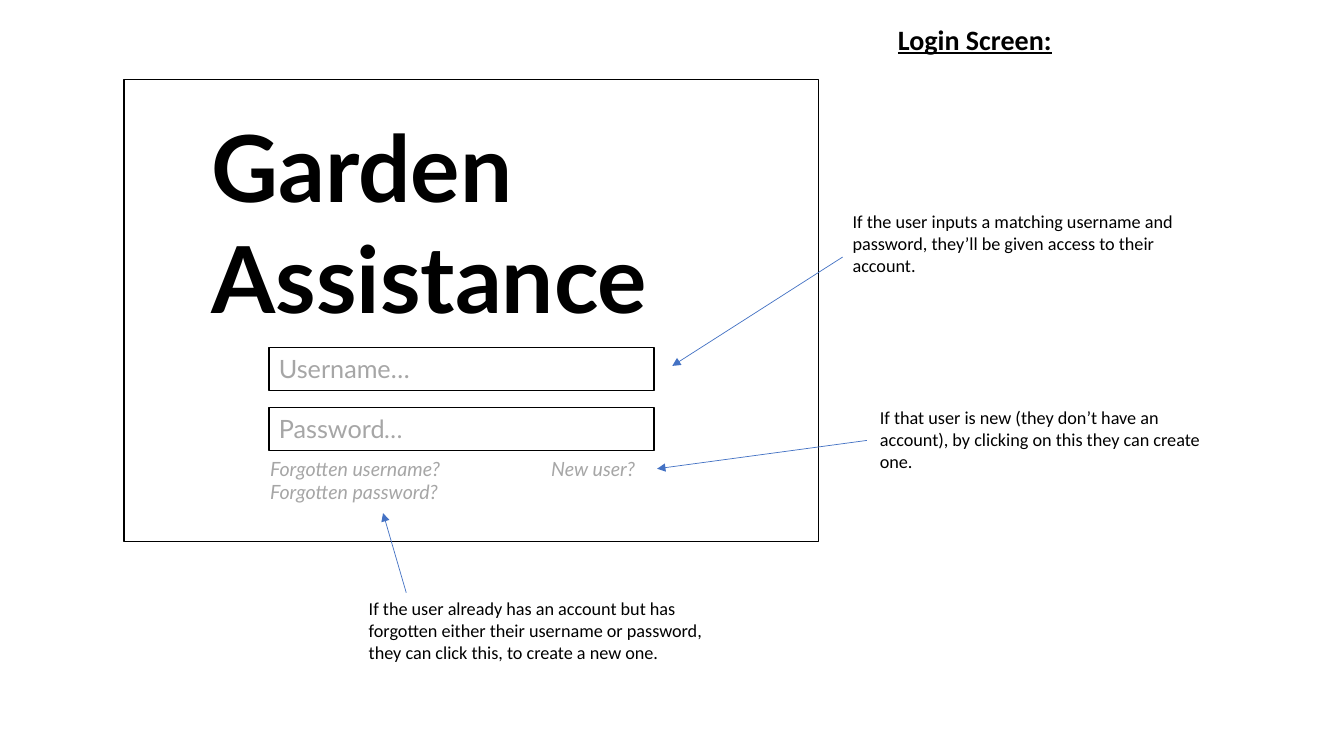
from lxml.etree import SubElement
from pptx import Presentation
from pptx.dml.color import RGBColor
from pptx.enum.shapes import MSO_CONNECTOR, MSO_SHAPE
from pptx.oxml.ns import qn
from pptx.util import Pt

COLORS = {"ink": "000000", "hint": "A6A6A6", "arrow": "4472C4"}


class Sketch:
    def __init__(self, slide):
        self.slide = slide
        self.shapes = slide.shapes

    def color(self, name):
        return RGBColor.from_string(COLORS[name])

    def start_group(self):
        self.shapes = self.slide.shapes.add_group_shape().shapes

    def end_group(self):
        self.shapes = self.slide.shapes

    def frame(self, x, y, w, h):
        sp = self.shapes.add_shape(MSO_SHAPE.RECTANGLE, Pt(x), Pt(y), Pt(w), Pt(h))
        sp.shadow.inherit = False
        sp.fill.background()
        sp.line.color.rgb = self.color("ink")
        sp.line.width = Pt(1)

    def text(self, x, y, w, h, paragraphs, size, font="Calibri", color="ink",
             bold=False, italic=False, underline=False):
        tf = self.shapes.add_textbox(Pt(x), Pt(y), Pt(w), Pt(h)).text_frame
        tf.word_wrap = True
        for i, runs in enumerate(paragraphs):
            p = tf.add_paragraph() if i else tf.paragraphs[0]
            for run in runs:
                if run == "\n":
                    p.add_line_break()
                    continue
                words, face = run if isinstance(run, tuple) else (run, font)
                r = p.add_run()
                r.text = words
                r.font.name = face
                r.font.size = Pt(size)
                r.font.color.rgb = self.color(color)
                r.font.bold = bold
                r.font.italic = italic
                r.font.underline = underline

    def note(self, x, y, h, words):
        self.text(x, y, 252.7, h, [[words]], 13)

    def field(self, y, runs):
        self.frame(192.2, y, 275, 30.5)
        self.text(192.2, y + 0.7, 268.6, 29, [runs], 18, "Lato", "hint")

    def link(self, x, y, w, h, lines):
        self.text(x, y, w, h, [[line] for line in lines], 14, "Lato", "hint", italic=True)

    def arrow(self, x1, y1, x2, y2):
        c = self.shapes.add_connector(MSO_CONNECTOR.STRAIGHT, Pt(x1), Pt(y1), Pt(x2), Pt(y2))
        c.line.color.rgb = self.color("arrow")
        c.line.width = Pt(0.5)
        SubElement(c.line._get_or_add_ln(), qn("a:tailEnd"), type="triangle")
        SubElement(c._element.spPr, qn("a:effectLst"))


prs = Presentation()
prs.slide_width, prs.slide_height = Pt(960), Pt(540)
s = Sketch(prs.slides.add_slide(prs.slide_layouts[6]))

s.text(634.3, 12.2, 283, 31.5, [["Login Screen:"]], 20, bold=True, underline=True)

s.start_group()
s.frame(88.6, 56.9, 496, 329.8)
s.text(144, 74.9, 386, 167, [["Garden", "\n", "Assistance"]], 66, "Lato", bold=True)
s.field(248.4, ["Username…"])
s.field(291.2, ["Password", ("…", "Calibri")])
s.link(185.8, 322.6, 141.8, 41, ["Forgotten username?", "Forgotten password?"])
s.link(386.6, 322.6, 82.8, 24.5, ["New user?"])
s.end_group()

s.note(601.9, 146.9, 54.7, "If the user inputs a matching username and password, "
       "they’ll be given access to their account.")
s.note(621.4, 286.6, 54.7, "If that user is new (they don’t have an account), "
       "by clicking on this they can create one.")
s.note(256.3, 423.4, 70.6, "If the user already has an account but has forgotten either "
       "their username or password, they can click this, to create a new one.")

for ends in [(290.2, 423.4, 273.6, 366.5),
             (601.9, 183.6, 480.2, 261.4),
             (619.2, 314.6, 469.4, 334.8)]:
    s.arrow(*ends)

prs.save("out.pptx")
